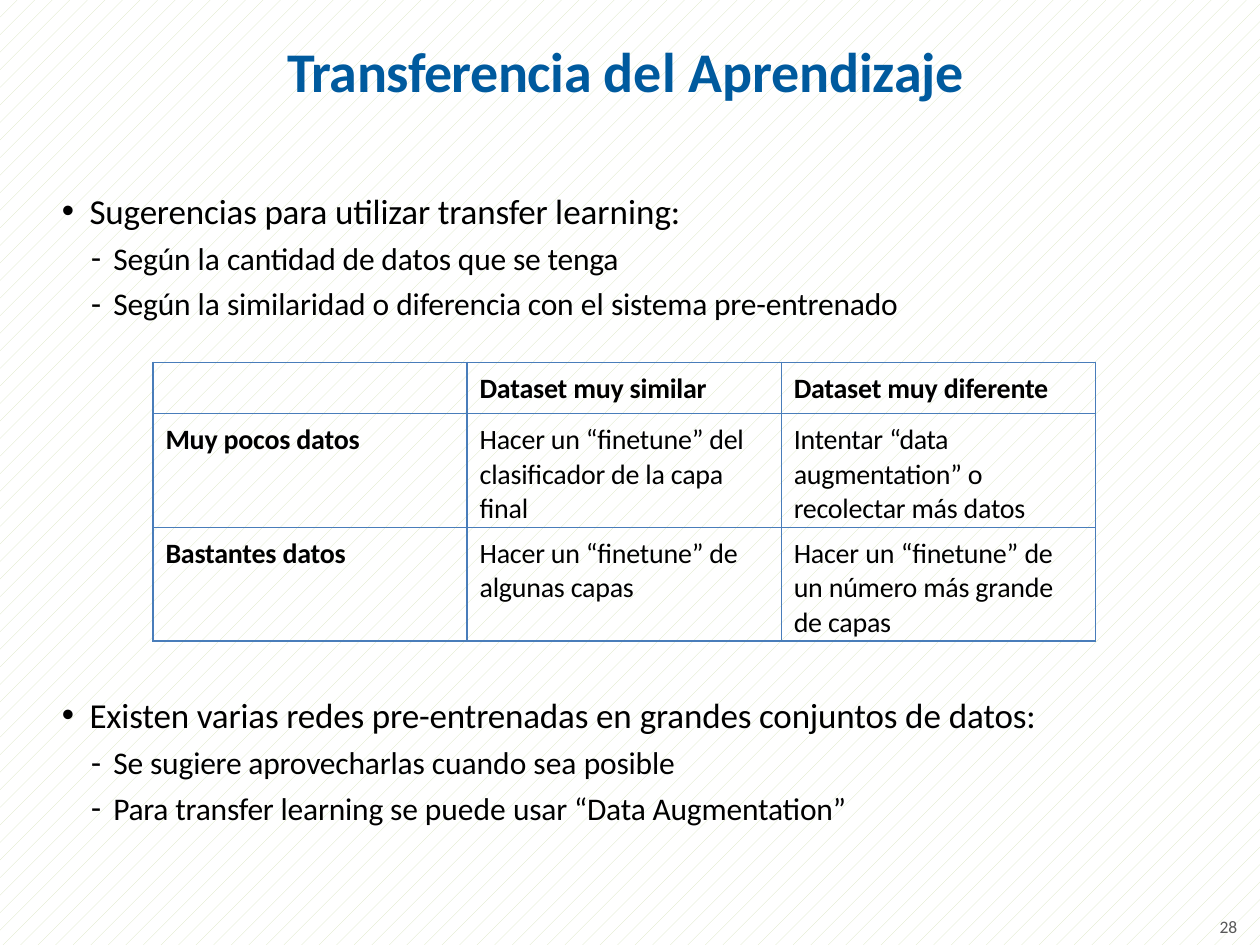
from dataclasses import dataclass

from lxml.etree import SubElement
from pptx import Presentation
from pptx.dml.color import RGBColor
from pptx.enum.dml import MSO_PATTERN
from pptx.enum.text import MSO_ANCHOR, MSO_AUTO_SIZE, PP_ALIGN
from pptx.oxml.ns import qn
from pptx.util import Pt


@dataclass(frozen=True)
class Theme:
    font: str = "Calibri"
    title: str = "005A9E"
    text: str = "000000"
    number: str = "585858"
    border: str = "497DBA"
    pattern: str = "D7E4BD"
    paper: str = "FFFFFF"
    title_size: int = 32
    list_sizes: tuple = (20, 18)
    cell_size: int = 16
    number_size: int = 10


T = Theme()

# Content: each run is (text, letter spacing in points)
TITLE = [("Transferencia ", -0.3), ("del ", 0), ("Aprendizaje", -0.1)]
NUMBER = [("28", -0.1)]

# Lists: (top, [(level, space before, runs)])
LISTS = [
    (96.5, [
        (0, 5.9, [("Sugerencias para utilizar transfer ", -0.1), ("learning:", 0)]),
        (1, 4.4, [("Según ", -0.1), ("la ", 0), ("cantidad de datos que se tenga", -0.1)]),
        (1, 4.3, [("Según ", -0.1), ("la ", 0), ("similaridad ", -0.1), ("o ", 0),
                  ("diferencia con", -0.1), (" el ", 0), ("sistema pre-entrenado", -0.1)]),
    ]),
    (384.5, [
        (0, 6, [("Existen varias redes pre-entrenadas ", -0.1), ("en ", 0),
                ("grandes conjuntos ", -0.1), ("de ", 0), ("datos:", -0.1)]),
        (1, 4.5, [("Se sugiere aprovecharlas ", -0.1), ("cuando sea ", 0), ("posible", -0.1)]),
        (1, 4.3, [("Para ", -0.2), ("transfer learning se ", -0.1), ("puede ", 0),
                  ("usar “Data Augmentation”", -0.1)]),
    ]),
]
# Level: (bullet, left indent, hanging indent, tab stop)
LEVELS = [("•", 16.56, 15.84, 16.56), ("-", 30.24, 12.96, 30.96)]

# Table cells: lists of paragraphs, each a list of runs
ROWS = [
    [[], [[("Dataset muy similar", -0.1)]], [[("Dataset muy diferente", -0.1)]]],
    [[[("Muy pocos datos", -0.1)]],
     [[("Hacer un “finetune” del  clasificador de la capa  final", -0.1)]],
     [[("Intentar ", -0.1), ("“data  ", -0.2),
       ("augmentation” o  recolectar más datos", -0.1)]]],
    [[[("Bastantes datos", -0.1)]],
     [[("Hacer un “finetune” de", -0.1)], [("algunas capas", -0.1)]],
     [[("Hacer un “finetune” de  un número más grande  de capas", -0.1)]]],
]
COL_WIDTH = 179.5
ROW_HEIGHTS = [29.3, 65, 65]
JUSTIFIED = (2, 2)


def place(sp, left, top, width, height):
    sp.left, sp.top, sp.width, sp.height = map(Pt, (left, top, width, height))


def set_frame(tf, top_inset):
    tf.word_wrap = True
    tf.auto_size = MSO_AUTO_SIZE.NONE
    tf.vertical_anchor = MSO_ANCHOR.TOP
    tf.margin_left = tf.margin_right = tf.margin_bottom = 0
    tf.margin_top = Pt(top_inset)


def indent(p, left, hanging=0):
    pPr = p._p.get_or_add_pPr()
    pPr.set("marL", str(Pt(left)))
    pPr.set("indent", str(-Pt(hanging)))
    return pPr


def add_runs(p, runs, size, color, bold=False):
    for text, spacing in runs:
        r = p.add_run()
        r.text = text
        r.font.name, r.font.size, r.font.bold = T.font, Pt(size), bold
        r.font.color.rgb = RGBColor.from_string(color)
        r._r.get_or_add_rPr().set("spc", str(round(spacing * 100)))


def next_paragraph(tf, index):
    return tf.add_paragraph() if index else tf.paragraphs[0]


def add_list(sp, items):
    tf = sp.text_frame
    set_frame(tf, 5.76)
    for i, (level, before, runs) in enumerate(items):
        p = next_paragraph(tf, i)
        bullet, left, hanging, tab = LEVELS[level]
        p.level = level
        p.space_before = Pt(before if i else 0)
        pPr = indent(p, left, hanging)
        SubElement(pPr, qn("a:buChar"), char=bullet)
        tabs = SubElement(pPr, qn("a:tabLst"))
        SubElement(tabs, qn("a:tab"), pos=str(Pt(tab)), algn="l")
        add_runs(p, runs, T.list_sizes[level], T.text)


def add_borders(cell):
    tcPr = cell._tc.get_or_add_tcPr()
    for side in ("lnL", "lnR", "lnT", "lnB"):
        ln = SubElement(tcPr, qn(f"a:{side}"), w=str(Pt(0.75)))
        SubElement(SubElement(ln, qn("a:solidFill")), qn("a:srgbClr"), val=T.border)


def fill_cell(cell, paragraphs, bold, justified):
    add_borders(cell)
    cell.fill.background()
    cell.margin_left = cell.margin_bottom = 0
    cell.margin_right = Pt(20.5 if justified else 0)
    cell.margin_top = Pt(5.5)
    for i, runs in enumerate(paragraphs):
        p = next_paragraph(cell.text_frame, i)
        indent(p, 7.2)
        p.space_before = Pt(0)
        p.alignment = PP_ALIGN.JUSTIFY if justified else PP_ALIGN.LEFT
        add_runs(p, runs, T.cell_size, T.text, bold)


prs = Presentation()
prs.slide_width, prs.slide_height = Pt(720), Pt(540)
s = prs.slides.add_slide(prs.slide_layouts[3])

# Background
fill = s.background.fill
fill.patterned()
fill.pattern = MSO_PATTERN.PERCENT_5
fill.fore_color.rgb = RGBColor.from_string(T.pattern)
fill.back_color.rgb = RGBColor.from_string(T.paper)

# Title
title, *bodies = s.placeholders
place(title, 163.4, 20.2, 393.1, 40.3)
set_frame(title.text_frame, 0.72)
p = title.text_frame.paragraphs[0]
p.alignment = PP_ALIGN.LEFT
p.space_before = Pt(0)
indent(p, 0.9)
add_runs(p, TITLE, T.title_size, T.title, bold=True)

# Lists above and below the table
for sp, (top, items) in zip(bodies, LISTS):
    place(sp, 34.6, top + items[0][1], 564.5, 82.8)
    add_list(sp, items)

# Table
frame = s.shapes.add_table(len(ROWS), len(ROWS[0]), Pt(87.4), Pt(207),
                           Pt(COL_WIDTH * len(ROWS[0])), Pt(sum(ROW_HEIGHTS)))
table = frame.table
table.first_row = table.horz_banding = False
for col in table.columns:
    col.width = Pt(COL_WIDTH)
for r, (height, cells) in enumerate(zip(ROW_HEIGHTS, ROWS)):
    table.rows[r].height = Pt(height)
    for c, paragraphs in enumerate(cells):
        fill_cell(table.cell(r, c), paragraphs, r == 0 or c == 0, (r, c) == JUSTIFIED)

# Slide number
sp = s.shapes.add_textbox(Pt(694.1), Pt(524.9), Pt(15.8), Pt(12.2))
set_frame(sp.text_frame, 0)
p = sp.text_frame.paragraphs[0]
p.line_spacing = Pt(10.4)
indent(p, 2.9)
add_runs(p, NUMBER, T.number_size, T.number)

prs.save("out.pptx")
